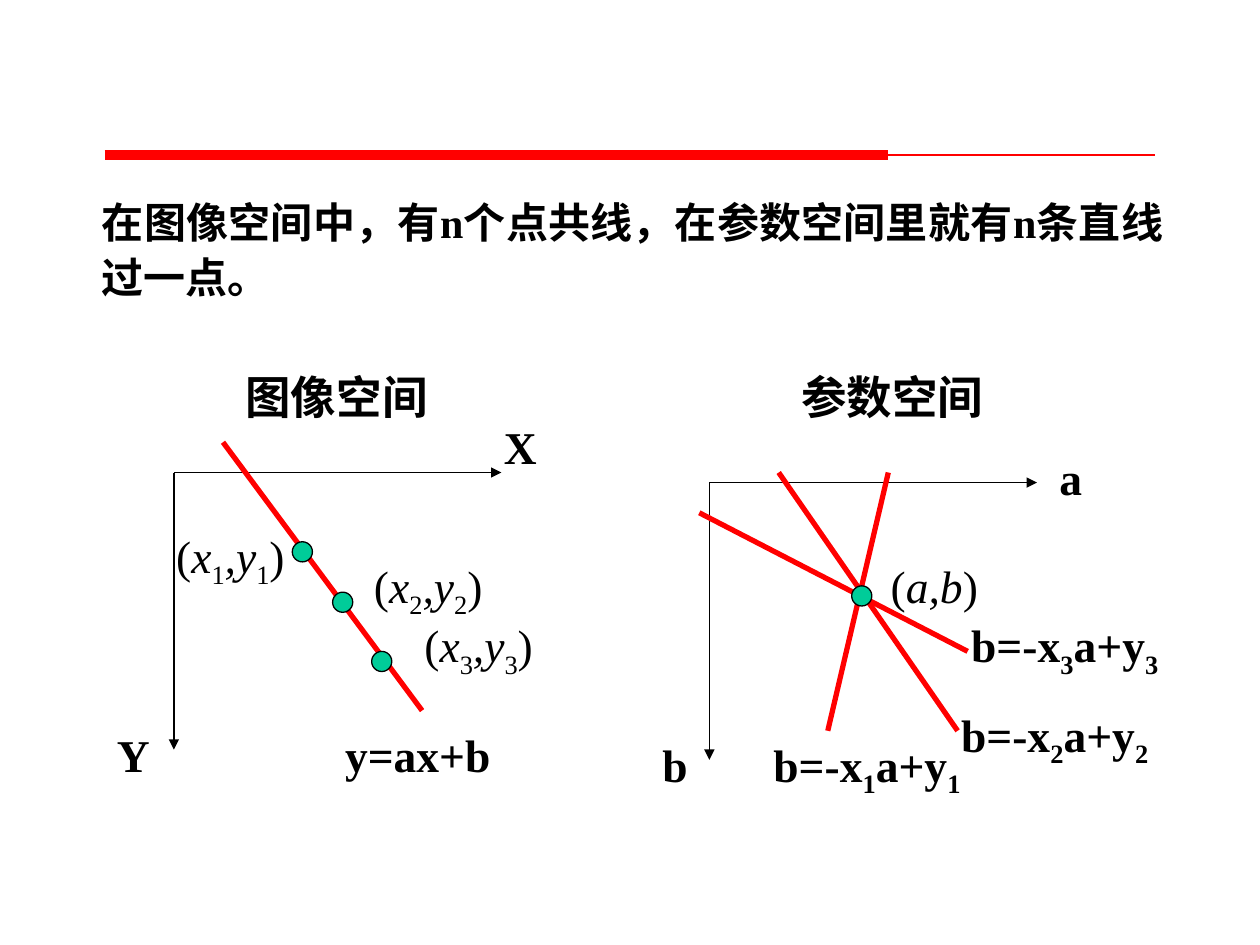
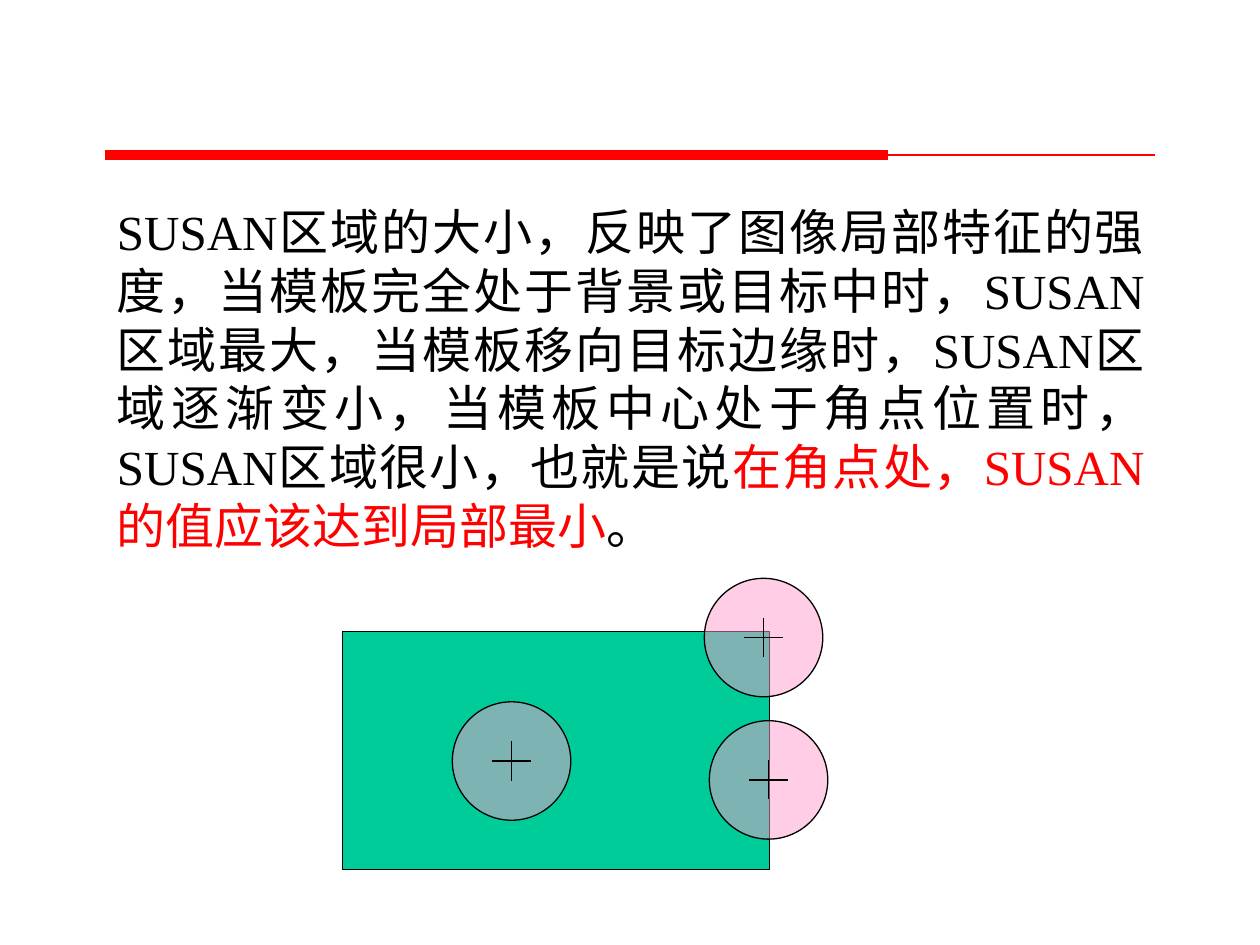
from dataclasses import dataclass
from typing import NamedTuple

from lxml import etree
from pptx import Presentation
from pptx import util as u
from pptx.dml.color import RGBColor
from pptx.enum import lang, shapes, text
from pptx.oxml import ns

COLORS = {
    "ink": "000000",
    "accent": "FF0000",
    "object": "00CC99",
    "mask": "FF99CC",
}
FONT = "Times New Roman"
THIN = 0.74
AXIS_LENGTHS = (2.6, 2.2)
DOT_SIZE = 0.16
MASK_SIZE = 0.94
CROSS_SIZE = 0.31


class Run(NamedTuple):
    text: str
    italic: bool = False
    sub: bool = False
    color: str = ""


class Line(NamedTuple):
    x1: float
    y1: float
    x2: float
    y2: float
    color: str = "accent"
    width: float = 3
    arrow: bool = False


@dataclass
class Label:
    left: float
    top: float
    width: float
    height: float
    runs: list[Run]
    size: float = 26
    bold: bool = True
    justify: bool = False
    line_spacing: float = 1
    space_before: float = 0


def rgb(name: str) -> RGBColor:
    return RGBColor.from_string(COLORS[name])


def draw_line(owner, line: Line) -> None:
    sp = owner.add_connector(
        shapes.MSO_CONNECTOR.STRAIGHT,
        *(u.Inches(v) for v in (line.x1, line.y1, line.x2, line.y2)),
    )
    sp.line.color.rgb = rgb(line.color)
    sp.line.width = u.Pt(line.width)
    if line.arrow:
        etree.SubElement(sp.line._get_or_add_ln(), ns.qn("a:tailEnd"), type="triangle")
    etree.SubElement(sp._element.spPr, ns.qn("a:effectLst"))


def draw_shape(owner, kind, left: float, top: float, width: float, height: float,
               color: str, alpha: int = 100) -> None:
    sp = owner.add_shape(kind, *(u.Inches(v) for v in (left, top, width, height)))
    sp.shadow.inherit = False
    sp.fill.solid()
    sp.fill.fore_color.rgb = rgb(color)
    sp.line.color.rgb = rgb("ink")
    sp.line.width = u.Pt(THIN)
    if alpha < 100:
        fill = sp._element.spPr.find(ns.qn("a:solidFill"))
        etree.SubElement(fill[0], ns.qn("a:alpha"), val=str(alpha * 1000))


def draw_dot(owner, x: float, y: float) -> None:
    draw_shape(owner, shapes.MSO_SHAPE.OVAL, x - DOT_SIZE / 2, y - DOT_SIZE / 2,
               DOT_SIZE, DOT_SIZE, "object")


def draw_label(owner, label: Label) -> None:
    box = (label.left, label.top, label.width, label.height)
    sp = owner.add_textbox(*(u.Inches(v) for v in box))
    tf = sp.text_frame
    tf.word_wrap = True
    tf.auto_size = text.MSO_AUTO_SIZE.SHAPE_TO_FIT_TEXT
    p = tf.paragraphs[0]
    p.alignment = text.PP_ALIGN.JUSTIFY if label.justify else text.PP_ALIGN.LEFT
    p.line_spacing = label.line_spacing
    p.space_before = u.Pt(label.space_before)
    p.font.name = FONT
    p.font.size = u.Pt(label.size)
    p.font.bold = label.bold
    p.font.color.rgb = rgb("ink")
    for run in label.runs:
        r = p.add_run()
        r.text = run.text
        r.font.language_id = lang.MSO_LANGUAGE_ID.SIMPLIFIED_CHINESE
        if run.italic:
            r.font.italic = True
        if run.color:
            r.font.color.rgb = rgb(run.color)
        if run.sub:
            r._r.get_or_add_rPr().set("baseline", "-25000")


def draw_axes(owner, x: float, y: float) -> None:
    across, down = AXIS_LENGTHS
    draw_line(owner, Line(x, y, x + across, y, "ink", THIN, True))
    draw_line(owner, Line(x, y, x, y + down, "ink", THIN, True))


def draw_mask(owner, x: float, y: float) -> None:
    group = owner.add_group_shape().shapes
    r, arm = MASK_SIZE / 2, CROSS_SIZE / 2
    draw_shape(group, shapes.MSO_SHAPE.OVAL, x - r, y - r, MASK_SIZE, MASK_SIZE, "mask", 49)
    draw_line(group, Line(x - arm, y, x + arm, y, "ink", THIN))
    draw_line(group, Line(x, y - arm, x, y + arm, "ink", THIN))


def heading_label(left: float, heading: str) -> Label:
    return Label(left, 2.88, 1.75, 0.54, [Run(heading)])


def axis_label(left: float, top: float, name: str) -> Label:
    return Label(left, top, 0.5, 0.54, [Run(name)])


def point_label(left: float, top: float, index: str) -> Label:
    runs = [Run("("), Run("x", italic=True), Run(index, sub=True),
            Run(",y", italic=True), Run(index, sub=True), Run(")")]
    return Label(left, top, 1.26, 0.6, runs, bold=False, space_before=16.2)


def equation_label(left: float, top: float, index: str) -> Label:
    runs = [Run("b=-x"), Run(index, sub=True), Run("a+y"), Run(index, sub=True)]
    return Label(left, top, 1.8, 0.6, runs)


def add_slide(prs):
    owner = prs.slides.add_slide(prs.slide_layouts[6]).shapes
    draw_line(owner, Line(0.83, 1.23, 7.05, 1.23, width=6))
    draw_line(owner, Line(0.9, 1.23, 9.17, 1.23, width=THIN))
    return owner


def build_hough_slide(prs) -> None:
    owner = add_slide(prs)
    draw_axes(owner, 1.38, 3.75)
    draw_axes(owner, 5.63, 3.83)
    for line in (
        Line(1.77, 3.51, 3.35, 5.64),
        Line(7.05, 3.75, 6.57, 5.8),
        Line(6.18, 3.75, 7.6, 5.8),
        Line(5.55, 4.07, 7.68, 5.17),
    ):
        draw_line(owner, line)
    for x, y in ((2.4, 4.38), (2.72, 4.78), (3.03, 5.25), (6.84, 4.73)):
        draw_dot(owner, x, y)
    for label in (
        Label(0.71, 1.47, 8.62, 1.1,
              [Run("在图像空间中，有n个点共线，在参数空间里就有n条直线过一点。")],
              size=24, justify=True, line_spacing=1.1, space_before=6),
        heading_label(1.85, "图像空间"),
        heading_label(6.26, "参数空间"),
        axis_label(3.9, 3.28, "X"),
        axis_label(0.83, 5.72, "Y"),
        axis_label(8.31, 3.52, "a"),
        axis_label(5.16, 5.8, "b"),
        Label(2.64, 5.72, 1.81, 0.54, [Run("y=ax+b")]),
        Label(6.97, 4.38, 1.02, 0.54, [Run("("), Run("a,b", italic=True), Run(")")],
              bold=False, space_before=16.2),
        point_label(1.3, 4.14, "1"),
        point_label(2.87, 4.38, "2"),
        point_label(3.27, 4.85, "3"),
        equation_label(6.04, 5.8, "1"),
        equation_label(7.53, 5.56, "2"),
        equation_label(7.61, 4.85, "3"),
    ):
        draw_label(owner, label)


def build_susan_slide(prs) -> None:
    owner = add_slide(prs)
    draw_label(owner, Label(
        0.83, 1.55, 8.35, 2.9,
        [Run("SUSAN区域的大小，反映了图像局部特征的强度，"
             "当模板完全处于背景或目标中时，SUSAN区域最大，"
             "当模板移向目标边缘时，SUSAN区域逐渐变小，"
             "当模板中心处于角点位置时，SUSAN区域很小，也就是说"),
         Run("在角点处，SUSAN的值应该达到局部最小", color="accent"),
         Run("。")],
        size=28, bold=False, justify=True, space_before=17.5))
    draw_shape(owner, shapes.MSO_SHAPE.RECTANGLE, 2.72, 5.01, 3.39, 1.89, "object")
    for x, y in ((6.06, 5.06), (6.1, 6.19), (4.06, 6.04)):
        draw_mask(owner, x, y)


def main() -> None:
    prs = Presentation()
    prs.slide_width = u.Inches(10)
    prs.slide_height = u.Inches(7.5)
    build_hough_slide(prs)
    build_susan_slide(prs)
    prs.save("out.pptx")


main()
